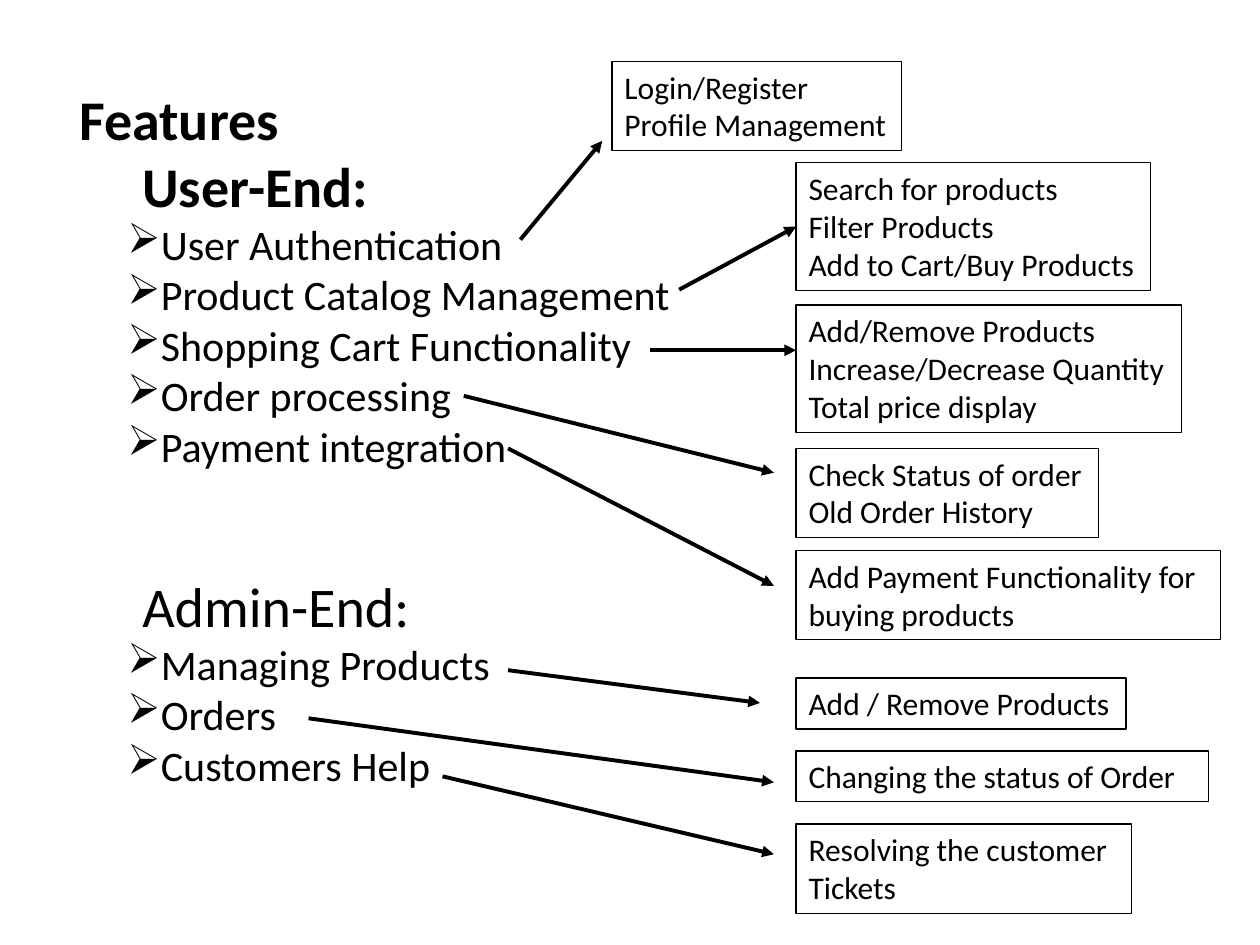
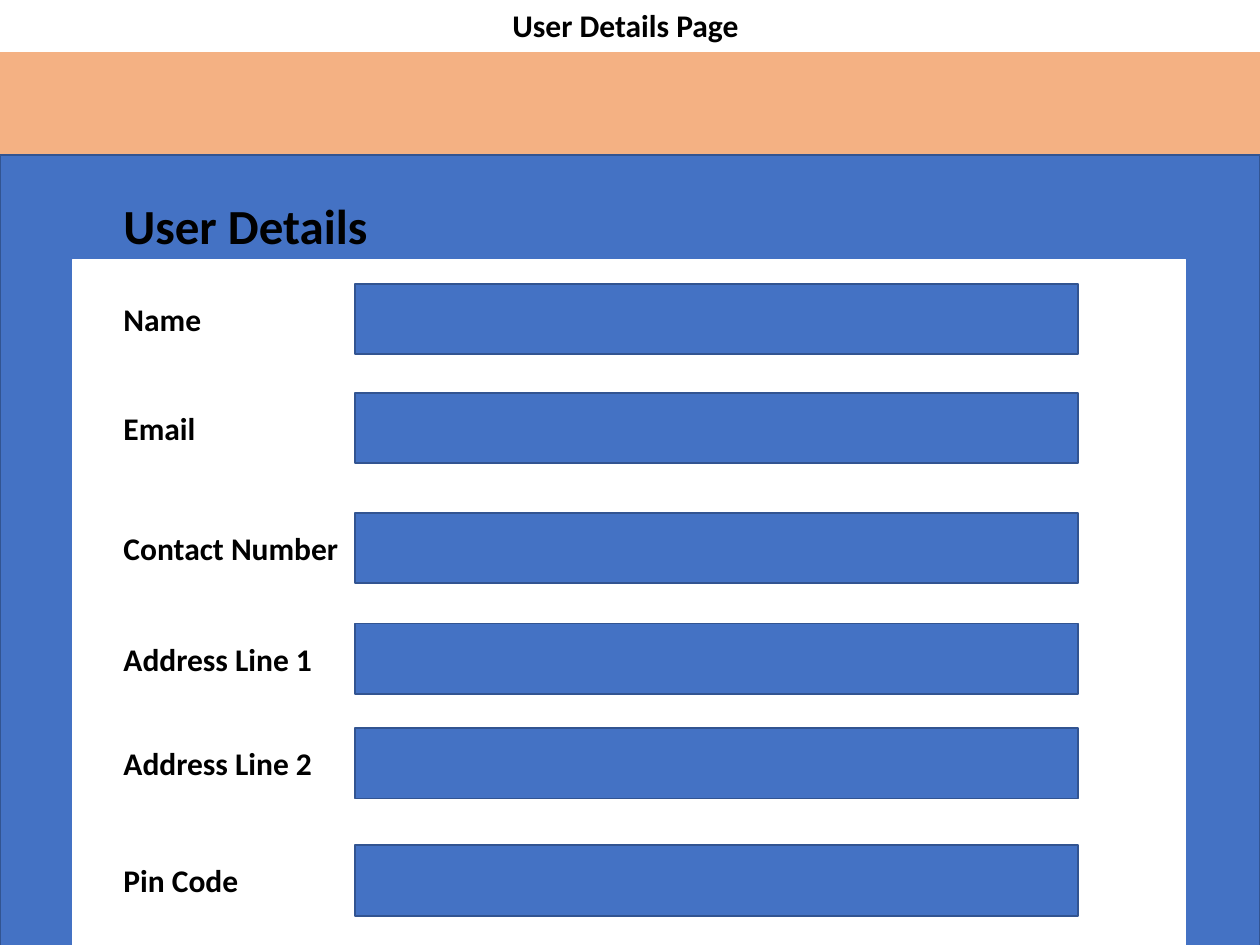
from pptx import Presentation
from pptx.dml.color import RGBColor
from pptx.enum.shapes import MSO_CONNECTOR as Connector, MSO_SHAPE as Shape
from pptx.enum.text import MSO_AUTO_SIZE as AutoSize
from pptx.oxml.ns import qn
from pptx.util import Cm, Pt
from lxml.etree import SubElement

BLACK = RGBColor(0x00, 0x00, 0x00)
WHITE = RGBColor(0xFF, 0xFF, 0xFF)
ORANGE = RGBColor(0xF4, 0xB1, 0x83)
BLUE = RGBColor(0x44, 0x72, 0xC4)
DARK_BLUE = RGBColor(0x32, 0x54, 0x91)

BASE = {"name": "Calibri", "size": Pt(18), "bold": False}
LABEL = BASE | {"bold": True}
SECTION = BASE | {"size": Pt(32)}
HEADING = SECTION | {"bold": True}
FEATURE = BASE | {"size": Pt(24)}
FORM_TITLE = LABEL | {"size": Pt(28)}

SLIDE_WIDTH, SLIDE_HEIGHT = 25.4, 19.05

OUTLINE_BOX = (1.35, 1.57, 13.92, 14.63)
OUTLINE_TITLE = "Features"
SECTION_GAP = Pt(57.5)
SECTIONS = [
    ("User-End:", HEADING, [
        "User Authentication",
        "Product Catalog Management",
        "Shopping Cart Functionality",
        "Order processing",
        "Payment integration",
    ]),
    ("Admin-End:", SECTION, ["Managing Products", "Orders", "Customers Help"]),
]

DETAIL_LEFT = 16.05
DETAIL_LINE, DETAIL_PADDING = 0.775, 0.25
DETAILS = [
    (["Login/Register", "Profile Management"],
     (12.34, 1.24, 5.84), (10.49, 4.83), (12.14, 2.84)),
    (["Search for products", "Filter Products", "Add to Cart/Buy Products"],
     (DETAIL_LEFT, 3.28, 7.14), (13.69, 5.84), None),
    (["Add/Remove Products", "Increase/Decrease Quantity", "Total price display"],
     (DETAIL_LEFT, 6.15, 7.77), (13.11, 7.06), (DETAIL_LEFT, 7.06)),
    (["Check Status of order", "Old Order History"],
     (DETAIL_LEFT, 9.04, 6.1), (9.35, 7.98), (15.6, 9.53)),
    (["Add Payment Functionality for", "buying products"],
     (DETAIL_LEFT, 11.1, 8.56), (10.24, 9.04), (15.6, 11.81)),
    (["Add / Remove Products"],
     (DETAIL_LEFT, 13.67, 6.65), (10.24, 13.51), (15.32, 14.17)),
    (["Changing the status of Order"],
     (DETAIL_LEFT, 15.14, 8.31), (6.22, 14.48), (15.6, 15.77)),
    (["Resolving the customer", "Tickets"],
     (DETAIL_LEFT, 16.61, 6.76), (8.92, 15.65), (15.6, 17.22)),
]

PAGE_TITLE = ("User Details Page", (10.08, 0, 5.26, 1.02))
FORM_HEADING = ("User Details", (2.24, 3.81, 5.49, 1.45))
HEADER_BAND = (0, 1.07, SLIDE_WIDTH, 2.03)
BACKDROP = (0, 3.12, SLIDE_WIDTH, 62.08)
FORM_PANEL = (1.47, 5.23, 22.43, 15.42)
LABEL_LEFT, LABEL_DROP, LABEL_HEIGHT = 2.24, 0.2, 1.02
FIELD_LEFT, FIELD_WIDTH, FIELD_HEIGHT = 7.16, 14.58, 1.42
FIELDS = [
    ("Name", 5.72, 2.08),
    ("Email", 7.92, 1.98),
    ("Contact Number", 10.34, 4.88),
    ("Address Line 1", 12.57, 4.34),
    ("Address Line 2", 14.68, 4.34),
    ("Pin Code", 17.04, 2.84),
]


def lengths(values):
    return [Cm(value) for value in values]


def write(paragraph, text, text_format):
    run = paragraph.add_run()
    run.text = text
    for attribute, value in text_format.items():
        setattr(run.font, attribute, value)
    run.font.color.rgb = BLACK


def add_text(slide, lines, place, text_format, wrap=False):
    shape = slide.shapes.add_textbox(*lengths(place))
    frame = shape.text_frame
    frame.word_wrap = wrap
    frame.auto_size = AutoSize.NONE if wrap else AutoSize.SHAPE_TO_FIT_TEXT
    for index, line in enumerate(lines):
        paragraph = frame.add_paragraph() if index else frame.paragraphs[0]
        write(paragraph, line, text_format)
    return shape


def add_rectangle(slide, place, fill, line):
    shape = slide.shapes.add_shape(Shape.RECTANGLE, *lengths(place))
    shape.shadow.inherit = False
    shape.fill.solid()
    shape.fill.fore_color.rgb = fill
    shape.line.color.rgb = line
    shape.line.width = Pt(1)


def indent(paragraph, left, first=0, bullet=None):
    paragraph.level = 1
    properties = paragraph._p.get_or_add_pPr()
    properties.set("marL", str(Cm(left)))
    properties.set("indent", str(Cm(first)))
    if bullet:
        SubElement(properties, qn("a:buChar"), char=bullet)


def add_outline(slide):
    frame = add_text(slide, [OUTLINE_TITLE], OUTLINE_BOX, HEADING, wrap=True).text_frame
    for index, (title, title_format, features) in enumerate(SECTIONS):
        paragraph = frame.add_paragraph()
        indent(paragraph, 1.27)
        if index:
            paragraph.space_before = SECTION_GAP
        write(paragraph, title, title_format)
        for feature in features:
            paragraph = frame.add_paragraph()
            indent(paragraph, 1.55, -0.58, "➢")
            write(paragraph, feature, FEATURE)


def add_arrow(slide, start, end, target):
    arrow = slide.shapes.add_connector(
        Connector.STRAIGHT, *lengths(start), *lengths(end or start))
    if end is None:
        arrow.end_connect(target, 1)
    arrow.line.color.rgb = BLACK
    arrow.line.width = Pt(2.25)
    SubElement(arrow.line._get_or_add_ln(), qn("a:tailEnd"), type="triangle")
    SubElement(arrow._element.spPr, qn("a:effectLst"))


def build_features(slide):
    add_outline(slide)
    for lines, (left, top, width), start, end in DETAILS:
        height = DETAIL_PADDING + DETAIL_LINE * len(lines)
        box = add_text(slide, lines, (left, top, width, height), BASE, wrap=True)
        box.line.color.rgb = BLACK
        box.line.width = Pt(0.75)
        add_arrow(slide, start, end, box)


def build_user_details(slide):
    title, title_place = PAGE_TITLE
    heading, heading_place = FORM_HEADING
    add_text(slide, [title], title_place, LABEL)
    add_rectangle(slide, HEADER_BAND, ORANGE, ORANGE)
    add_rectangle(slide, BACKDROP, BLUE, DARK_BLUE)
    add_text(slide, [heading], heading_place, FORM_TITLE)
    add_rectangle(slide, FORM_PANEL, WHITE, WHITE)
    for label, top, width in FIELDS:
        label_place = (LABEL_LEFT, top + LABEL_DROP, width, LABEL_HEIGHT)
        add_text(slide, [label], label_place, LABEL)
        field_place = (FIELD_LEFT, top, FIELD_WIDTH, FIELD_HEIGHT)
        add_rectangle(slide, field_place, BLUE, DARK_BLUE)


def main():
    presentation = Presentation()
    presentation.slide_width = Cm(SLIDE_WIDTH)
    presentation.slide_height = Cm(SLIDE_HEIGHT)
    for build in (build_features, build_user_details):
        build(presentation.slides.add_slide(presentation.slide_layouts[6]))
    presentation.save("out.pptx")


if __name__ == "__main__":
    main()
